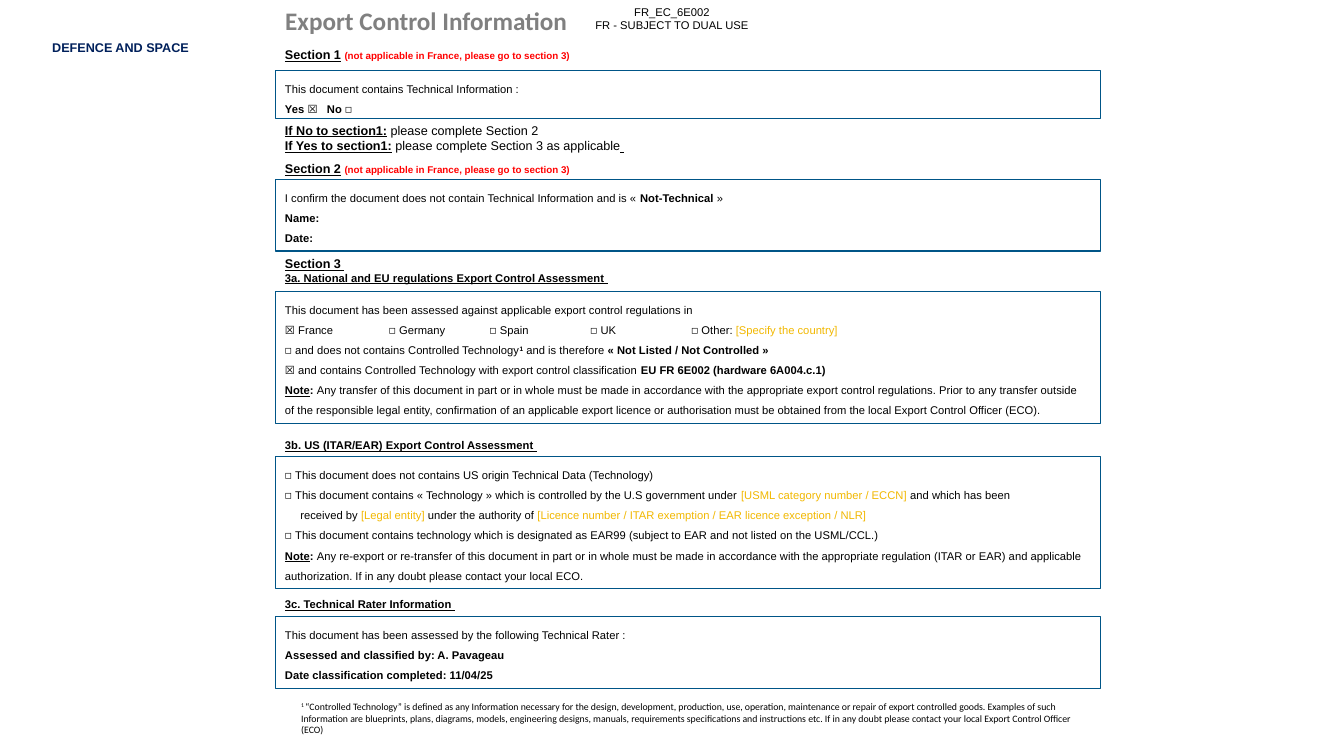
from pptx import Presentation
from pptx.dml.color import RGBColor
from pptx.enum.shapes import MSO_SHAPE as Shape
from pptx.enum.text import MSO_ANCHOR as Anchor, PP_ALIGN as Align
from pptx.util import Pt
from lxml.etree import SubElement
from pptx.oxml.ns import qn

BLACK, GREY, NAVY, TEAL = "000000", "808080", "00205B", "005587"
RED, GOLD = "FF0000", "F2B800"

# style: (bold, underline, colour, size, raised); None keeps the block's value
STYLES = {
    "": (False, False, None, None, False),
    "b": (True, False, None, None, False),
    "bu": (True, True, None, None, False),
    "sub": (True, True, None, 8, False),
    "red": (True, False, RED, 7, False),
    "gold": (False, False, GOLD, None, False),
    "bsup": (True, False, None, None, True),
    "sup": (False, False, None, None, True),
}

LEFT, BOX_W, HEAD_W = 196.5, 589.6, 566.6
LIMIT = ("(not applicable in France, please go to section 3)", "red")
TICK = ("◻ ", "b")

# top, height, paragraphs of (text, style) runs
HEADS = [
    (30.2, 20.2, [[("Section 1", "bu"), (" ", ""), LIMIT]]),
    (84.2, 32.4, [
        [("If No to section1:", "bu"), (" please complete Section 2", "")],
        [("If Yes to section1:", "bu"),
         (" please complete Section 3 as applicable", ""), (" ", "bu")],
    ]),
    (111.6, 18.7, [[("Section 2", "bu"), (" ", ""), LIMIT]]),
    (179.3, 31, [
        [("Section 3 ", "bu")],
        [("3a. National and EU regulations Export Control Assessment ", "sub")],
    ]),
    (309.6, 18.7, [[("3b. US (ITAR/EAR) Export Control Assessment ", "sub")]]),
    (423.4, 18.7, [[("3c. Technical Rater Information ", "sub")]]),
]

BOXES = [
    (50.4, 34.6, [
        [("This document contains Technical Information :", "")],
        [("Yes ", "b"), ("☒\t", ""), ("No ◻", "b")],
    ]),
    (128.2, 51.1, [
        [("I confirm the document does not contain Technical Information and is « ", ""),
         ("Not-Technical", "b"), (" »", "")],
        [("Name:", "b")],
        [("Date:", "b")],
    ]),
    (208.1, 94.3, [
        [("This document has been assessed against applicable export control "
          "regulations in", "")],
        [("☒ France \t", ""), (" ◻ ", "b"), ("Germany \t", ""), (" ◻ ", "b"),
         ("Spain \t", ""), (" ◻ ", "b"), ("UK \t", ""), (" ◻ ", "b"),
         ("Other: ", ""), ("[Specify the country]", "gold")],
        [TICK, ("and does not contains Controlled Technology", ""), ("1", "bsup"),
         (" and is therefore ", ""), ("« Not Listed / Not Controlled »", "b")],
        [("☒ and contains Controlled Technology with export control "
          "classification ", ""), ("EU FR 6E002 (hardware 6A004.c.1)", "b")],
        [("Note", "bu"), (": ", "b"),
         ("Any transfer of this document in part or in whole must be made in accordance "
          "with the appropriate export control regulations. Prior to any transfer outside "
          "of the responsible legal entity, confirmation of an applicable export licence "
          "or authorisation must be obtained from the local Export Control Officer "
          "(ECO).", "")],
    ]),
    (326.2, 94.3, [
        [TICK, ("This document does not contains US origin Technical Data "
                "(Technology)", "")],
        [TICK, ("This document contains « Technology » which is controlled by the U.S "
                "government under ", ""),
         ("[USML category number / ECCN] ", "gold"), ("and which has been\n", ""),
         ("received by ", ""), ("[Legal entity]", "gold"),
         (" under the authority of ", ""),
         ("[Licence number / ITAR exemption / EAR licence exception / NLR]", "gold")],
        [TICK, ("This document contains technology which is designated as EAR99 "
                "(subject to EAR and not listed on the USML/CCL.)", "")],
        [("Note", "bu"), (": ", "b"),
         ("Any re-export or re-transfer of this document in part or in whole must be made "
          "in accordance with the appropriate regulation (ITAR or EAR) and applicable "
          "authorization. If in any doubt please contact your local ECO.", "")],
    ]),
    (440.6, 51.1, [
        [("This document has been assessed by the following Technical Rater :", "")],
        [("Assessed and classified by: A. Pavageau", "b")],
        [("Date classification completed: 11/04/25", "b")],
    ]),
]

TITLE = [[("Export Control Information", "b")]]
MARKING = [[("FR_EC_6E002", "")], [("FR - SUBJECT TO DUAL USE", "")]]
DIVISION = [[("DEFENCE AND SPACE", "b")]]
FOOTNOTE = [[
    ("1 ", "sup"),
    ("“Controlled Technology” is defined as any Information necessary for the design, "
     "development, production, use, operation, maintenance or repair of export controlled "
     "goods. Examples of such Information are blueprints, plans, diagrams, models, "
     "engineering designs, manuals, requirements specifications and instructions etc. If "
     "in any doubt please contact your local Export Control Officer (ECO)", ""),
]]


def paint(target, color):
    target.rgb = RGBColor.from_string(color)


def layout(para, runs):
    """Add tab stops, or a hanging indent where a line is broken."""
    text = "".join(words for words, _ in runs)
    props = para._p.get_or_add_pPr()
    tabs = text.count("\t")
    if tabs:
        step = 72 if tabs > 1 else 30
        stops = SubElement(props, qn("a:tabLst"))
        for n in range(1, tabs + 1):
            SubElement(stops, qn("a:tab"), pos=str(Pt(step * n)), algn="l")
    if "\n" in text:
        props.set("marL", str(Pt(11)))
        props.set("indent", str(-Pt(11)))


def write(shape, paras, size, font="Arial", color=BLACK, spacing=1.0, align=Align.LEFT):
    frame = shape.text_frame
    frame.word_wrap = True
    frame.vertical_anchor = Anchor.TOP
    for n, runs in enumerate(paras):
        para = frame.add_paragraph() if n else frame.paragraphs[0]
        layout(para, runs)
        para.alignment = align
        para.line_spacing = spacing
        for words, style in runs:
            bold, under, tint, own, raised = STYLES[style]
            run = para.add_run()
            run.text = words.rstrip("\n")
            run.font.name = font
            run.font.size = Pt(own or size)
            run.font.bold, run.font.underline = bold, under
            paint(run.font.color, tint or color)
            if raised:
                run._r.get_or_add_rPr().set("baseline", "30000")
            if words.endswith("\n"):
                para.add_line_break()


def build():
    deck = Presentation()
    deck.slide_width, deck.slide_height = Pt(960), Pt(540)
    slide = deck.slides.add_slide(deck.slide_layouts[5])
    shapes = slide.shapes

    def label(left, top, width, height, paras, size, **look):
        box = shapes.add_textbox(Pt(left), Pt(top), Pt(width), Pt(height))
        write(box, paras, size, **look)

    label(30.2, 24.6, 120, 17.6, DIVISION, 9, color=NAVY)
    label(0, 0, 960, 27.4, MARKING, 8, align=Align.CENTER)

    title = shapes.title
    title.left, title.top = Pt(LEFT), Pt(-2.2)
    title.width, title.height = Pt(453.6), Pt(20.9)
    write(title, TITLE, 18, font="Calibri", color=GREY, spacing=1.1)

    for top, height, paras in BOXES:
        box = shapes.add_shape(Shape.RECTANGLE, Pt(LEFT), Pt(top), Pt(BOX_W), Pt(height))
        box.shadow.inherit = False
        box.fill.background()
        paint(box.line.color, TEAL)
        box.line.width = Pt(0.75)
        write(box, paras, 8, spacing=1.5)
    for top, height, paras in HEADS:
        label(LEFT, top, HEAD_W, height, paras, 9)
    label(208.1, 496.8, HEAD_W, 36.7, FOOTNOTE, 7, font="Calibri")

    deck.save("out.pptx")


if __name__ == "__main__":
    build()
